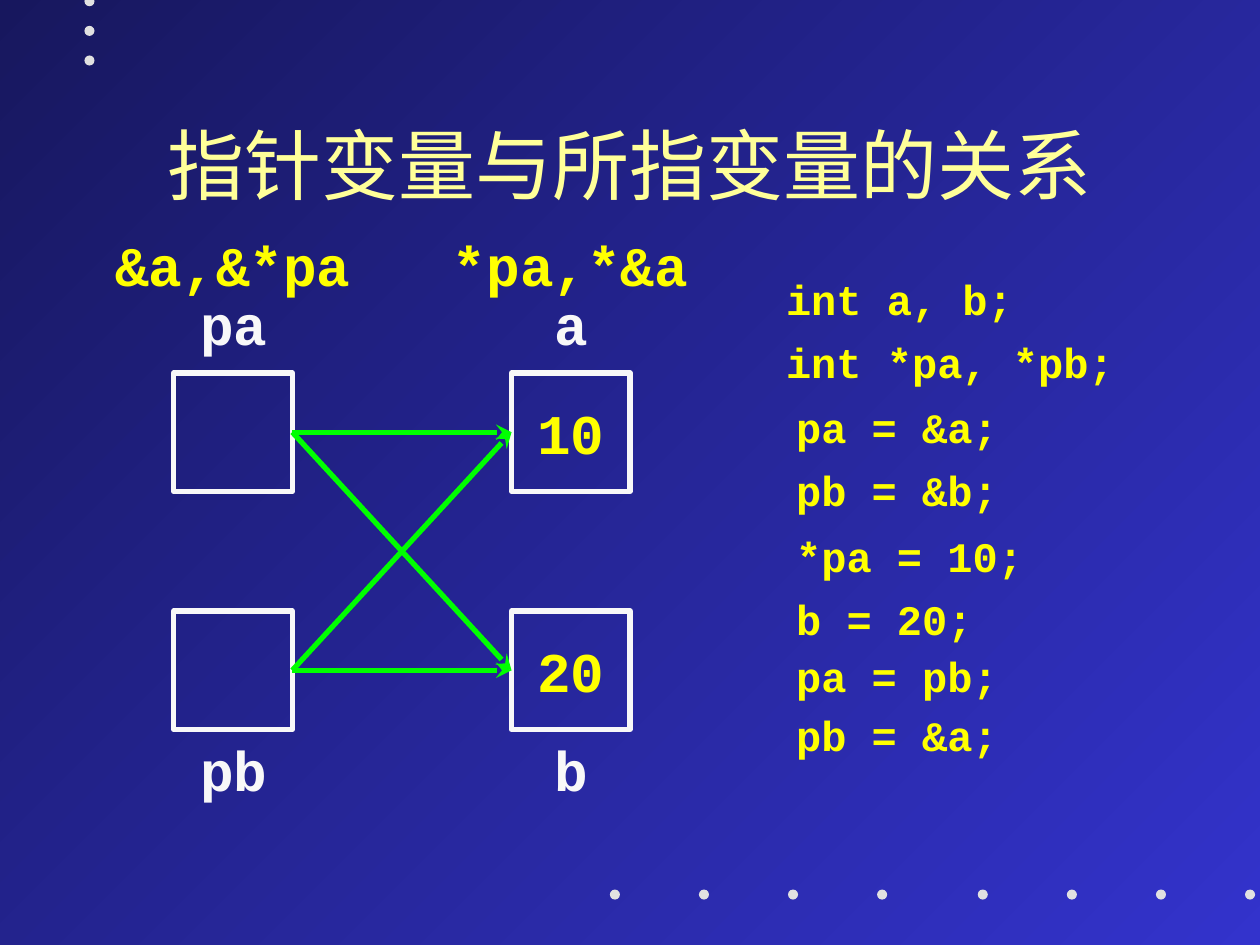
from pptx import Presentation
from pptx.dml.color import RGBColor
from pptx.enum.shapes import MSO_CONNECTOR, MSO_SHAPE
from pptx.enum.text import MSO_ANCHOR, MSO_AUTO_SIZE, PP_ALIGN
from pptx.oxml.ns import qn
from pptx.util import Inches, Pt
from lxml import etree

BLUE = RGBColor(0x33, 0x33, 0xCC)
NAVY = RGBColor(0x17, 0x17, 0x5E)
GREY = RGBColor(0xE1, 0xE1, 0xE1)
WHITE = RGBColor(0xF8, 0xF8, 0xF8)
CREAM = RGBColor(0xFF, 0xFF, 0x99)
YELLOW = RGBColor(0xFF, 0xFF, 0x00)
GREEN = RGBColor(0x00, 0xFF, 0x00)

OVAL, RECT = MSO_SHAPE.OVAL, MSO_SHAPE.RECTANGLE
STRAIGHT = MSO_CONNECTOR.STRAIGHT
LEFT, CENTER = PP_ALIGN.LEFT, PP_ALIGN.CENTER
TOP, MIDDLE = MSO_ANCHOR.TOP, MSO_ANCHOR.MIDDLE
GROW = MSO_AUTO_SIZE.SHAPE_TO_FIT_TEXT
MONO, SERIF = "Courier New", "Times New Roman"
LEFT_SIDE, RIGHT_SIDE = 1, 3


def write(frame, lines, size, color, font=MONO, bold=True, align=CENTER,
          anchor=TOP, wrap=True, space=None):
    frame.word_wrap = wrap
    frame.vertical_anchor = anchor
    for i, line in enumerate(lines):
        para = frame.add_paragraph() if i else frame.paragraphs[0]
        para.alignment = align
        if space:
            para.line_spacing = space
        run = para.add_run()
        run.text = line
        run.font.size = Pt(size)
        run.font.name = font
        run.font.bold = bold
        run.font.color.rgb = color


def add_text(slide, x, y, w, h, lines, size, color, **style):
    box = slide.shapes.add_textbox(Inches(x), Inches(y), Inches(w), Inches(h))
    write(box.text_frame, lines, size, color, **style)
    return box


def add_label(slide, x, y, w, text, color):
    box = add_text(slide, x, y, w, 0.64, [text], 32, color)
    box.text_frame.auto_size = GROW


def add_dots(slide, x, y, count, dx=0, dy=0):
    for i in range(count):
        dot = slide.shapes.add_shape(OVAL, Inches(x + i * dx), Inches(y + i * dy),
                                     Inches(0.08), Inches(0.08))
        dot.shadow.inherit = False
        dot.fill.solid()
        dot.fill.fore_color.rgb = GREY
        dot.line.fill.background()


def add_backdrop(slide):
    fill = slide.background.fill
    fill.gradient()
    fill.gradient_angle = 135
    for stop, color in zip(fill.gradient_stops, (BLUE, NAVY)):
        stop.color.rgb = color
    add_dots(slide, 0.67, -0.03, 3, dy=0.235)
    for x in (4.84, 7.76):
        add_dots(slide, x, 7.06, 4, dx=0.707)


def add_cell(slide, x, y, value):
    cell = slide.shapes.add_shape(RECT, Inches(x), Inches(y),
                                  Inches(0.94), Inches(0.94))
    cell.shadow.inherit = False
    cell.fill.background()
    cell.line.color.rgb = WHITE
    cell.line.width = Pt(3)
    if value:
        write(cell.text_frame, [value], 32, YELLOW, anchor=MIDDLE, wrap=False)
    return cell


def add_arrow(slide, start, end):
    arrow = slide.shapes.add_connector(STRAIGHT, 0, 0, 0, 0)
    arrow.begin_connect(start, RIGHT_SIDE)
    arrow.end_connect(end, LEFT_SIDE)
    arrow.line.color.rgb = GREEN
    arrow.line.width = Pt(3)
    tail = etree.SubElement(arrow.line._get_or_add_ln(), qn("a:tailEnd"))
    tail.set("type", "stealth")
    etree.SubElement(arrow._element.spPr, qn("a:effectLst"))


def add_diagram(slide, x, y):
    columns = ((0, ("pa", "pb"), (None, None)),
               (2.68, ("a", "b"), ("10", "20")))
    sides = []
    for dx, names, values in columns:
        # Names sit above the upper cell and below the lower one
        for dy, name in zip((0.47, 4.01), names):
            add_label(slide, x + dx, y + dy, 0.95, name, WHITE)
        sides.append([add_cell(slide, x + dx, y + dy, value)
                      for dy, value in zip((1.18, 3.07), values)])
    # Every pointer can point at either variable
    for start in sides[0]:
        for end in sides[1]:
            add_arrow(slide, start, end)
    # Equivalent expressions
    add_label(slide, x - 0.63, y, 2.2, "&a,&*pa", YELLOW)
    add_label(slide, x + 1.97, y, 2.36, "*pa,*&a", YELLOW)


def add_code(slide, x, y):
    blocks = (
        (0, 0, 2.8, ["int a, b;", "int *pa, *pb;"]),
        (0.08, 1.02, 1.8, ["pa = &a;", "pb = &b;"]),
        (0.08, 2.04, 2, ["*pa = 10;", "b = 20;"]),
        (0.08, 2.99, 1.8, ["pa = pb;"]),
        (0.08, 3.46, 1.8, ["pb = &a;"]),
    )
    for dx, dy, w, lines in blocks:
        box = add_text(slide, x + dx, y + dy, w, 0.1 + 0.5 * len(lines), lines,
                       24, YELLOW, align=LEFT, wrap=False, space=1.25)
        box.text_frame.auto_size = GROW


def main():
    deck = Presentation()
    deck.slide_width, deck.slide_height = Inches(10), Inches(7.5)
    slide = deck.slides.add_slide(deck.slide_layouts[6])
    add_backdrop(slide)
    add_text(slide, 0.75, 0.67, 8.5, 1.25, ["指针变量与所指变量的关系"], 44, CREAM,
             font=SERIF, bold=False, anchor=MIDDLE)
    add_diagram(slide, 1.38, 1.78)
    add_code(slide, 6.14, 2.02)
    deck.save("out.pptx")


if __name__ == "__main__":
    main()
